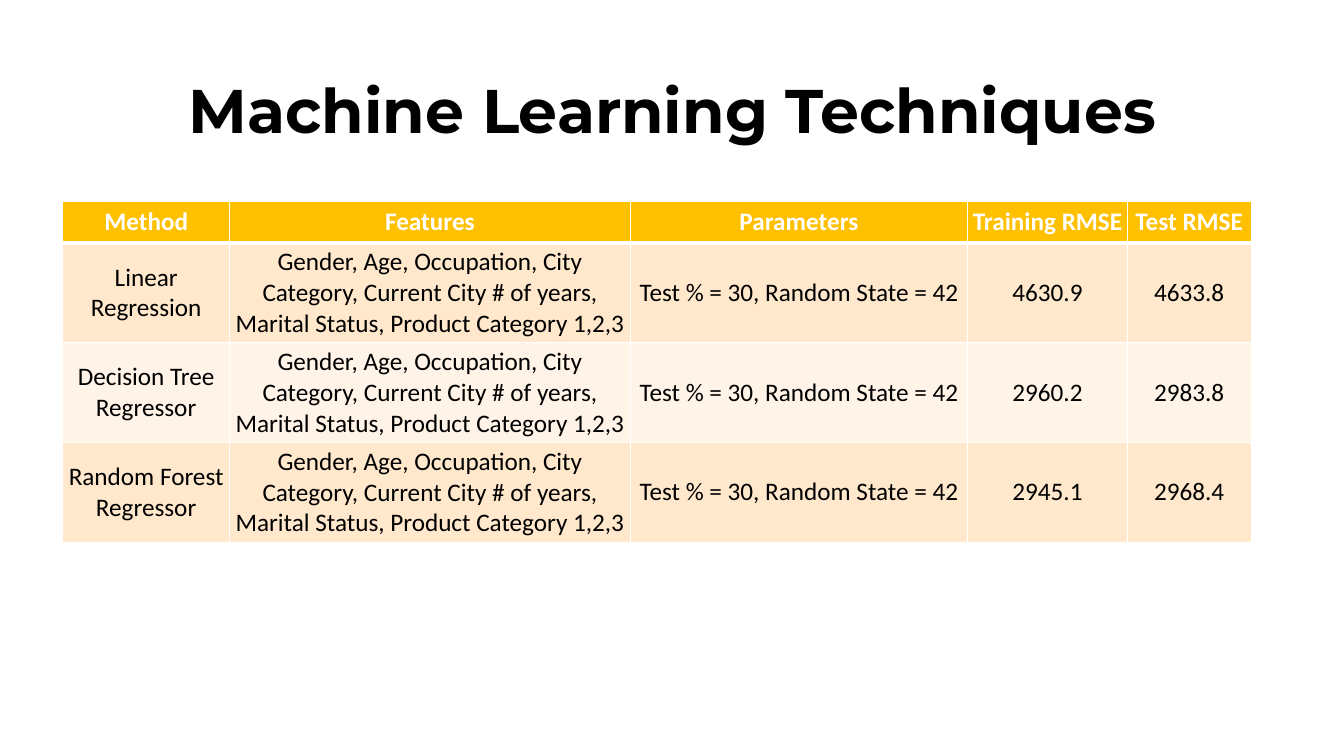
"""Build the slide that compares machine learning techniques."""
from lxml import etree
from pptx import Presentation
from pptx.dml.color import RGBColor
from pptx.enum.text import MSO_ANCHOR, PP_ALIGN
from pptx.oxml.ns import qn
from pptx.util import Inches, Pt

CENTER = PP_ALIGN.CENTER
MIDDLE = MSO_ANCHOR.MIDDLE
WHITE, BLACK, GOLD = "FFFFFF", "000000", "FFC000"
BANDS = ("FFE8CC", "FFF4E7")

WIDTHS = (1.66, 3.97, 3.35, 1.58, 1.23)
HEAD_H, BODY_H = 0.41, 0.99
PAD = Inches(0.04)

HEADS = ("Method", "Features", "Parameters", "Training RMSE", "Test RMSE")
FEATURES = ("Gender, Age, Occupation, City Category, Current City # of years, "
            "Marital Status, Product Category 1,2,3")
PARAMS = "Test % = 30, Random State = 42"
SCORES = (
    ("Linear Regression", "4630.9", "4633.8"),
    ("Decision Tree Regressor", "2960.2", "2983.8"),
    ("Random Forest Regressor", "2945.1", "2968.4"),
)


def rgb(code):
    """Turn a hex string into a colour."""
    return RGBColor.from_string(code)


def write(frame, text, face, size, color, bold):
    """Put one centred paragraph into a text frame."""
    frame.word_wrap = True
    para = frame.paragraphs[0]
    para.text = text
    para.alignment = CENTER
    font = para.font
    font.name, font.size, font.bold = face, Pt(size), bold
    font.color.rgb = rgb(color)
    return para


def add_title(slide, text):
    """Add the slide heading."""
    box = slide.shapes.add_textbox(Inches(0.92), Inches(0.4),
                                   Inches(11.5), Inches(1.45))
    para = write(box.text_frame, text, "Montserrat", 44, BLACK, True)
    para.line_spacing = 0.9
    box.text_frame.vertical_anchor = MIDDLE


def set_edges(cell, top, bottom):
    """Draw white cell borders, with top and bottom widths in points."""
    props = cell._tc.get_or_add_tcPr()
    for side, width in (("L", 1), ("R", 1), ("T", top), ("B", bottom)):
        line = etree.SubElement(props, qn("a:ln" + side), w=str(Pt(width)))
        fill = etree.SubElement(line, qn("a:solidFill"))
        etree.SubElement(fill, qn("a:srgbClr"), val=WHITE)


def fill_cell(cell, text, row):
    """Write and style a cell by its row number."""
    head = row == 0
    cell.margin_left = cell.margin_right = PAD
    cell.margin_top = cell.margin_bottom = PAD
    cell.vertical_anchor = MIDDLE
    write(cell.text_frame, text, "Calibri", 18, WHITE if head else BLACK, head)
    set_edges(cell, 3 if row == 1 else 1, 3 if head else 1)
    cell.fill.solid()
    cell.fill.fore_color.rgb = rgb(GOLD if head else BANDS[(row - 1) % 2])


def add_grid(slide, rows):
    """Add the table of methods and errors."""
    height = HEAD_H + BODY_H * (len(rows) - 1)
    table = slide.shapes.add_table(
        len(rows), len(WIDTHS), Inches(0.62), Inches(2),
        Inches(sum(WIDTHS)), Inches(height)).table
    for col, width in zip(table.columns, WIDTHS):
        col.width = Inches(width)
    for r, texts in enumerate(rows):
        table.rows[r].height = Inches(BODY_H if r else HEAD_H)
        for c, text in enumerate(texts):
            fill_cell(table.cell(r, c), text, r)


def main():
    """Make the deck and save it."""
    deck = Presentation()
    deck.slide_width, deck.slide_height = Inches(13.33), Inches(7.5)
    slide = deck.slides.add_slide(deck.slide_layouts[6])
    add_title(slide, "Machine Learning Techniques")
    body = [(name, FEATURES, PARAMS, train, test)
            for name, train, test in SCORES]
    add_grid(slide, [HEADS] + body)
    deck.save("out.pptx")


if __name__ == "__main__":
    main()
